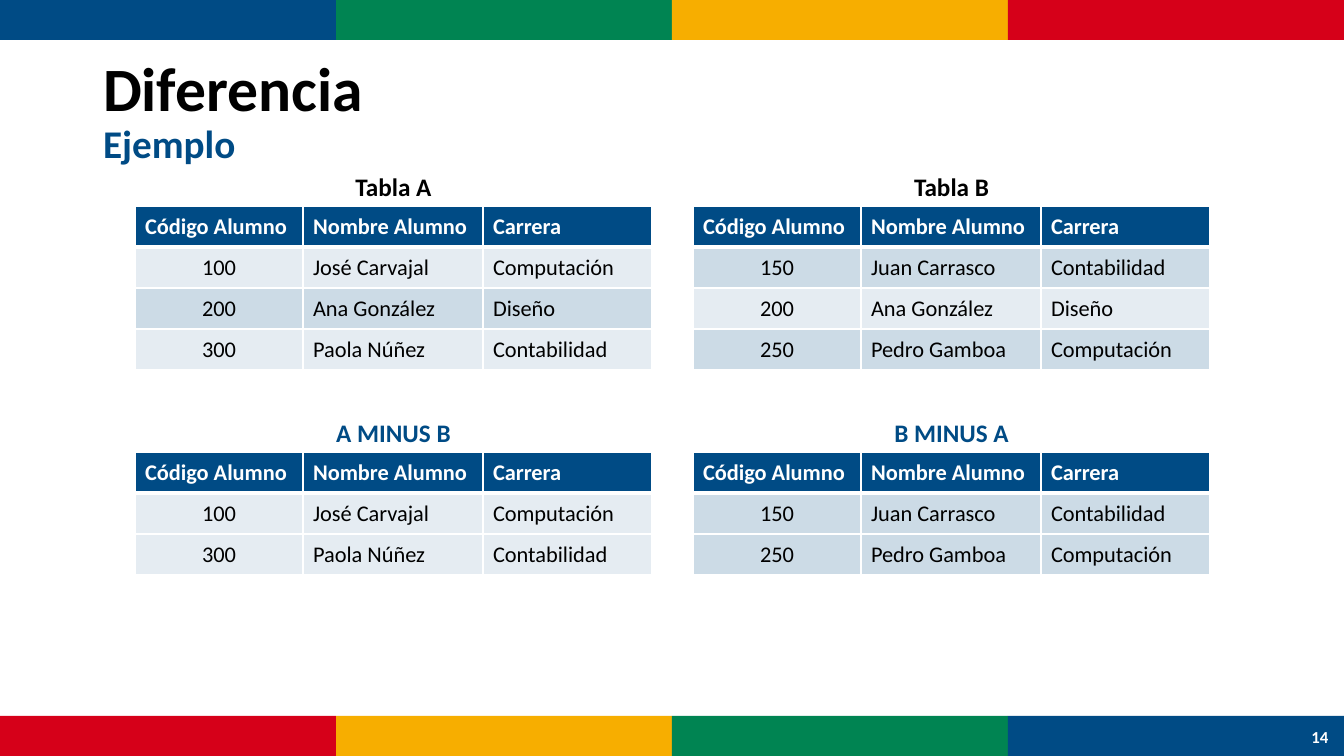
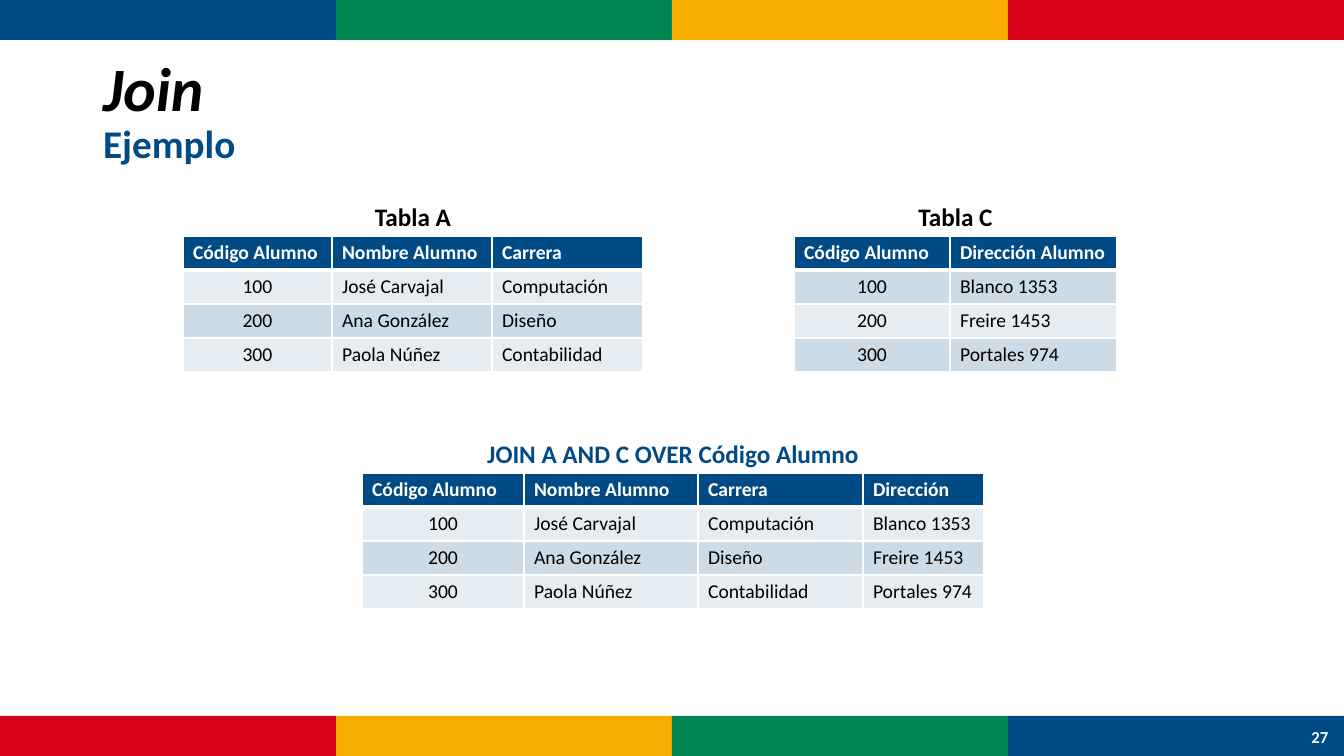
import pptx
import pptx.util
import pptx.dml.color
import pptx.enum.shapes
import pptx.enum.text
import pptx.oxml
import pptx.oxml.ns
from dataclasses import dataclass

ALIGN = pptx.enum.text.PP_ALIGN
MIDDLE = pptx.enum.text.MSO_ANCHOR.MIDDLE
WIDE, HIGH = 1344, 756
SCALE = 12192000 / WIDE


@dataclass(frozen=True)
class Theme:
    font: str = "Calibri"
    blue: str = "004B85"
    green: str = "008452"
    gold: str = "F7AE00"
    red: str = "D60019"
    black: str = "000000"
    white: str = "FFFFFF"
    title: int = 44
    sub: int = 28
    label: int = 18
    page: int = 12
    band: int = 40
    caption: int = 40
    light: int = 10
    dark: int = 20


THEME = Theme()
LIGHT, DARK = THEME.light, THEME.dark

HEAD = ("Código Alumno", "Nombre Alumno", "Carrera")
TABLE_A = [
    ("100", "José Carvajal", "Computación"),
    ("200", "Ana González", "Diseño"),
    ("300", "Paola Núñez", "Contabilidad"),
]
TABLE_B = [
    ("150", "Juan Carrasco", "Contabilidad"),
    ("200", "Ana González", "Diseño"),
    ("250", "Pedro Gamboa", "Computación"),
]
TABLE_C = [("100", "Blanco 1353"), ("200", "Freire 1453"), ("300", "Portales 974")]
A_MINUS_B = [row for row in TABLE_A if row not in TABLE_B]
B_MINUS_A = [row for row in TABLE_B if row not in TABLE_A]
A_JOIN_C = [a + c[1:] for a in TABLE_A for c in TABLE_C if a[0] == c[0]]

LEFT, RIGHT, UPPER, LOWER = 135, 693, 206, 452
COLS = (168, 180, 169)

# Each table: caption, caption colour, left, top, columns, header, rows, tints
SLIDES = [
    dict(title="Diferencia", italic=False, page="14", size=16, row=41, tables=[
        ("Tabla A", THEME.black, LEFT, UPPER, COLS, HEAD, TABLE_A, (LIGHT, DARK, LIGHT)),
        ("Tabla B", THEME.black, RIGHT, UPPER, COLS, HEAD, TABLE_B, (DARK, LIGHT, DARK)),
        ("A MINUS B", THEME.blue, LEFT, LOWER, COLS, HEAD, A_MINUS_B, (LIGHT, LIGHT)),
        ("B MINUS A", THEME.blue, RIGHT, LOWER, COLS, HEAD, B_MINUS_A, (DARK, DARK)),
    ]),
    dict(title="Join", italic=True, page="27", size=14, row=34, tables=[
        ("Tabla A", THEME.black, 183, 236, (149, 160, 151), HEAD,
         TABLE_A, (LIGHT, DARK, LIGHT)),
        ("Tabla C", THEME.black, 794, 236, (156, 167), (HEAD[0], "Dirección Alumno"),
         TABLE_C, (DARK, LIGHT, DARK)),
        ("JOIN A AND C OVER Código Alumno", THEME.blue, 362, 473, (162, 174, 165, 121),
         HEAD + ("Dirección",), A_JOIN_C, (LIGHT, DARK, LIGHT)),
    ]),
]


def px(*sizes):
    """Turn px lengths into EMU."""
    return [pptx.util.Emu(round(size * SCALE)) for size in sizes]


def rgb(color):
    return pptx.dml.color.RGBColor.from_string(color)


def set_font(font, size, color, bold=True, italic=False):
    font.name, font.size = THEME.font, pptx.util.Pt(size)
    font.bold, font.italic = bold, italic
    font.color.rgb = rgb(color)


def add_bands(slide, layout):
    """Draw the colour bands and move them into the layout all slides share."""
    colors = (THEME.blue, THEME.green, THEME.gold, THEME.red)
    width = WIDE // len(colors)
    for top, order in ((0, colors), (HIGH - THEME.band, colors[::-1])):
        for i, color in enumerate(order):
            band = slide.shapes.add_shape(
                pptx.enum.shapes.MSO_SHAPE.RECTANGLE,
                *px(i * width, top, width, THEME.band))
            band.shadow.inherit = False
            band.fill.solid()
            band.fill.fore_color.rgb = rgb(color)
            band.line.fill.background()
            layout.shapes.element.append(band.element)


def add_label(slide, text, box, size, color):
    frame = slide.shapes.add_textbox(*px(*box)).text_frame
    frame.word_wrap = True
    frame.vertical_anchor = MIDDLE
    para = frame.paragraphs[0]
    para.text = text
    para.alignment = ALIGN.CENTER
    set_font(para.font, size, color)


def set_title(slide, text, italic):
    title = slide.shapes.title
    title.left, title.top, title.width, title.height = px(93, 40, 1159, 146)
    frame = title.text_frame
    frame.vertical_anchor = MIDDLE
    frame.auto_size = pptx.enum.text.MSO_AUTO_SIZE.NONE
    para = frame.paragraphs[0]
    para.alignment = ALIGN.LEFT
    para.line_spacing = 0.9
    run = para.add_run()
    run.text = text
    set_font(run.font, THEME.title, THEME.black, italic=italic)
    para.add_line_break()
    run = para.add_run()
    run.text = "Ejemplo"
    set_font(run.font, THEME.sub, THEME.blue)


def set_borders(cell, top, bottom):
    """Give a cell white borders; top and bottom are widths in points."""
    props = cell._tc.get_or_add_tcPr()
    for side, width in (("L", 1), ("R", 1), ("T", top), ("B", bottom)):
        props.append(pptx.oxml.parse_xml(
            f'<a:ln{side} {pptx.oxml.ns.nsdecls("a")} w="{pptx.util.Pt(width)}">'
            f'<a:solidFill><a:srgbClr val="{THEME.white}"/></a:solidFill></a:ln{side}>'))


def set_tint(cell, percent):
    """Fill a cell with blue at the given opacity."""
    cell.fill.solid()
    cell.fill.fore_color.rgb = rgb(THEME.blue)
    if percent < 100:
        fill = cell._tc.tcPr.find(pptx.oxml.ns.qn("a:solidFill"))
        fill[0].append(pptx.oxml.parse_xml(
            f'<a:alpha {pptx.oxml.ns.nsdecls("a")} val="{percent * 1000}"/>'))


def add_grid(slide, left, top, cols, rows, tints, size, high):
    table = slide.shapes.add_table(
        len(rows), len(cols), *px(left, top, sum(cols), high * len(rows))).table
    table.horz_banding = False
    for col, width in zip(table.columns, px(*cols)):
        col.width = width
    for i, (row, tint) in enumerate(zip(rows, tints)):
        table.rows[i].height = px(high)[0]
        head = i == 0
        for j, text in enumerate(row):
            cell = table.cell(i, j)
            cell.vertical_anchor = MIDDLE
            set_borders(cell, 3 if i == 1 else 1, 3 if head else 1)
            set_tint(cell, tint)
            para = cell.text_frame.paragraphs[0]
            para.text = text
            para.alignment = ALIGN.CENTER if j == 0 and not head else ALIGN.LEFT
            set_font(para.font, size, THEME.white if head else THEME.black, bold=head)


def main():
    deck = pptx.Presentation()
    deck.slide_width, deck.slide_height = px(WIDE, HIGH)
    layout = deck.slide_layouts[5]
    for i, data in enumerate(SLIDES):
        slide = deck.slides.add_slide(layout)
        if i == 0:
            add_bands(slide, layout)
        set_title(slide, data["title"], data["italic"])
        add_label(slide, data["page"], (1297, 717, 46, 40), THEME.page, THEME.white)
        for caption, color, left, top, cols, head, rows, tints in data["tables"]:
            add_label(slide, caption, (left, top - THEME.caption, sum(cols), THEME.caption),
                      THEME.label, color)
            add_grid(slide, left, top, cols, [head, *rows], (100, *tints),
                     data["size"], data["row"])
    deck.save("out.pptx")


if __name__ == "__main__":
    main()
